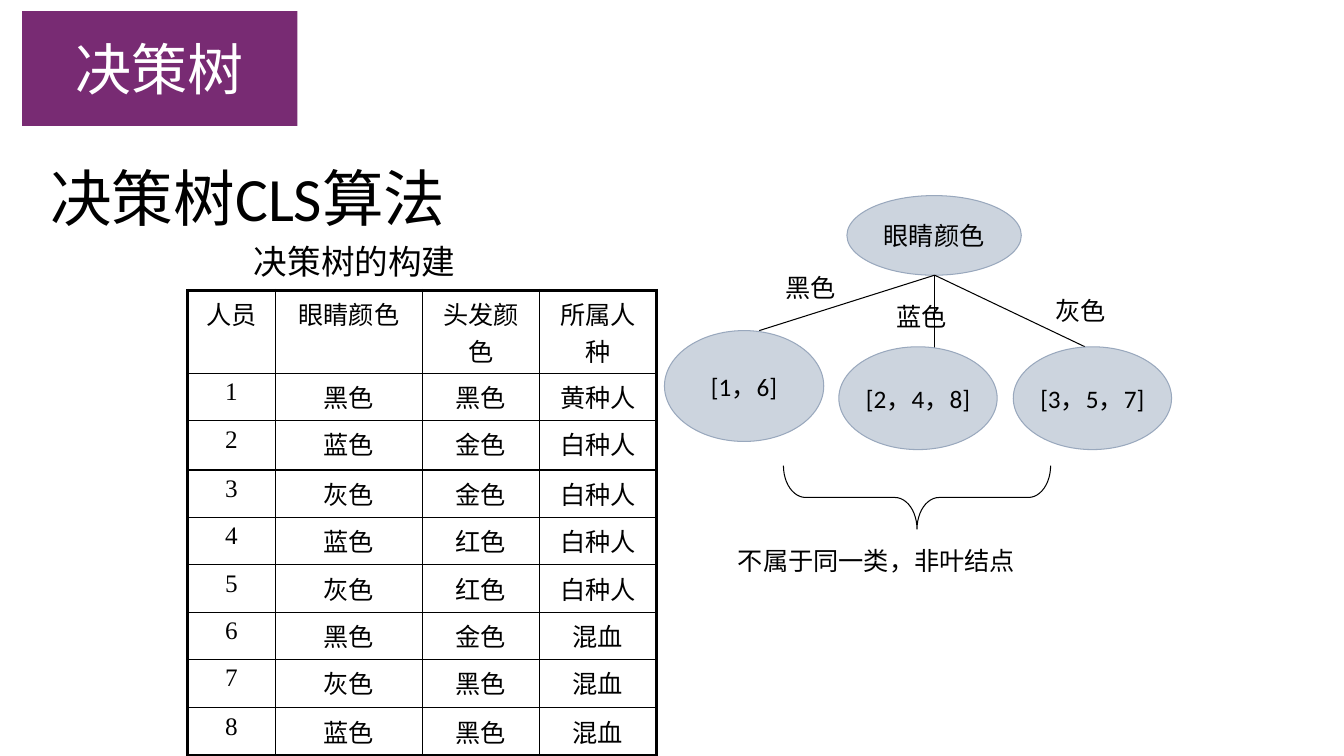
from lxml.etree import SubElement
from pptx import Presentation
from pptx.dml.color import RGBColor
from pptx.enum.shapes import MSO_CONNECTOR, MSO_SHAPE
from pptx.enum.text import MSO_ANCHOR, MSO_AUTO_SIZE, PP_ALIGN
from pptx.oxml.ns import qn
from pptx.util import Inches, Pt

PURPLE = RGBColor(0x78, 0x2B, 0x73)
WHITE = RGBColor(0xFF, 0xFF, 0xFF)
BLACK = RGBColor(0x00, 0x00, 0x00)
NODE_FILL = RGBColor(0xCC, 0xD4, 0xDE)
NODE_LINE = RGBColor(0x99, 0xA8, 0xBD)

COLUMN = Inches(0.1)
ROW = Inches(0.1)

PEOPLE = [
    ("人员", "眼睛颜色", "头发颜色", "所属人种"),
    ("1", "黑色", "黑色", "黄种人"),
    ("2", "蓝色", "金色", "白种人"),
    ("3", "灰色", "金色", "白种人"),
    ("4", "蓝色", "红色", "白种人"),
    ("5", "灰色", "红色", "白种人"),
    ("6", "黑色", "金色", "混血"),
    ("7", "灰色", "黑色", "混血"),
    ("8", "蓝色", "黑色", "混血"),
]
PEOPLE_COLUMNS = (8.7, 14.6, 11.6, 11.6)
PEOPLE_ROWS = (4.7, 4.7, 4.9, 4.7, 4.7, 4.7, 4.7, 4.8, 4.7)

ROOT_BOTTOM = (92.7, 27.3)
BRANCHES = [
    ("黑色", (76.9, 26.5), (75.3, 32.8), "[1，6]", (65.9, 32.8, 15.8, 11)),
    ("蓝色", (87.9, 29.4), (92.7, 35.1), "[2，4，8]", (83.2, 34.4, 15.7, 10.2)),
    ("灰色", (103.7, 28.8), (107.6, 34.4), "[3，5，7]", (100.5, 34.4, 15.7, 10.2)),
]


class TreeSlide:
    body_font = "Calibri"
    table_font = "Times New Roman"
    body_size = 18
    thin, thick = Pt(1), Pt(2.25)
    stroke = Pt(0.75)

    def __init__(self, page):
        self.page = page

    def place(self, left, top, width, height):
        return (round(left * COLUMN), round(top * ROW),
                round(width * COLUMN), round(height * ROW))

    def fill_text(self, frame, text, size=body_size, color=BLACK, align=None, font=body_font):
        frame.text = text
        para = frame.paragraphs[0]
        para.alignment = align
        for span in para.runs:
            span.font.name = font
            span.font.size = Pt(size)
            span.font.color.rgb = color
        return para

    def text(self, area, text, size=body_size):
        box = self.page.shapes.add_textbox(*self.place(*area))
        frame = box.text_frame
        frame.word_wrap = False
        frame.auto_size = MSO_AUTO_SIZE.SHAPE_TO_FIT_TEXT
        self.fill_text(frame, text, size)

    def heading(self, area, text):
        box = self.page.shapes.add_textbox(*self.place(*area))
        frame = box.text_frame
        frame.word_wrap = True
        frame.vertical_anchor = MSO_ANCHOR.MIDDLE
        self.fill_text(frame, text, 44).line_spacing = 0.9

    def shape(self, kind, area, fill=None, line=None):
        shape = self.page.shapes.add_shape(kind, *self.place(*area))
        shape.shadow.inherit = False
        if fill is None:
            shape.fill.background()
        else:
            shape.fill.solid()
            shape.fill.fore_color.rgb = fill
        if line is None:
            shape.line.fill.background()
        else:
            shape.line.color.rgb = line
            shape.line.width = self.stroke
        return shape

    def banner(self, area, text):
        frame = self.shape(MSO_SHAPE.RECTANGLE, area, PURPLE).text_frame
        frame.vertical_anchor = MSO_ANCHOR.MIDDLE
        self.fill_text(frame, text, 40, WHITE, PP_ALIGN.CENTER)

    def node(self, area, text):
        frame = self.shape(MSO_SHAPE.OVAL, area, NODE_FILL, NODE_LINE).text_frame
        frame.word_wrap = False
        frame.vertical_anchor = MSO_ANCHOR.MIDDLE
        self.fill_text(frame, text, align=PP_ALIGN.CENTER)

    def brace(self, area):
        brace = self.shape(MSO_SHAPE.LEFT_BRACE, area, line=BLACK)
        brace.rotation = 270
        brace.adjustments[0] = 0.35
        brace.adjustments[1] = 0.5

    def edge(self, start, end):
        edge = self.page.shapes.add_connector(
            MSO_CONNECTOR.STRAIGHT, *self.place(*start, *end))
        edge.line.color.rgb = BLACK
        edge.line.width = self.stroke
        SubElement(edge._element.spPr, qn("a:effectLst"))

    def borders(self, cell, outer_sides):
        properties = cell._tc.get_or_add_tcPr()
        for side in "LRTB":
            width = self.thick if side in outer_sides else self.thin
            border = SubElement(properties, qn(f"a:ln{side}"), w=str(int(width)))
            fill = SubElement(border, qn("a:solidFill"))
            SubElement(fill, qn("a:srgbClr"), val=str(BLACK))

    def table(self, left, top, widths, heights, records):
        area = self.place(left, top, sum(widths), sum(heights))
        table = self.page.shapes.add_table(len(heights), len(widths), *area).table
        table.first_row = table.horz_banding = False
        for column, width in zip(table.columns, widths):
            column.width = round(width * COLUMN)
        for row, height in zip(table.rows, heights):
            row.height = round(height * ROW)
        last_row, last_column = len(heights) - 1, len(widths) - 1
        for r, record in enumerate(records):
            for c, value in enumerate(record):
                cell = table.cell(r, c)
                edges = {"L": c == 0, "R": c == last_column,
                         "T": r == 0, "B": r == last_row}
                self.borders(cell, [side for side in edges if edges[side]])
                cell.fill.background()
                self.fill_text(cell.text_frame, value, align=PP_ALIGN.CENTER,
                               font=self.table_font)


def main():
    deck = Presentation()
    deck.slide_width = Inches(13.33)
    deck.slide_height = Inches(7.5)
    slide = TreeSlide(deck.slides.add_slide(deck.slide_layouts[6]))

    slide.banner((2.2, 1.1, 27.3, 11.4), "决策树")
    slide.table(18.6, 28.8, PEOPLE_COLUMNS, PEOPLE_ROWS, PEOPLE)
    slide.text((24.2, 23.4, 22.2, 5), "决策树的构建", 24)

    slide.node((84, 19.4, 17.3, 7.9), "眼睛颜色")
    for color, label_corner, edge_end, members, area in BRANCHES:
        slide.edge(ROOT_BOTTOM, edge_end)
        slide.node(area, members)
        slide.text((*label_corner, 7.1, 4), color)

    slide.brace((87.8, 36.1, 6.3, 26.5))
    slide.text((72.2, 53.6, 29.8, 4), "不属于同一类，非叶结点")
    slide.heading((4, 12.7, 115, 14.5), "决策树CLS算法")
    deck.save("out.pptx")


if __name__ == "__main__":
    main()
